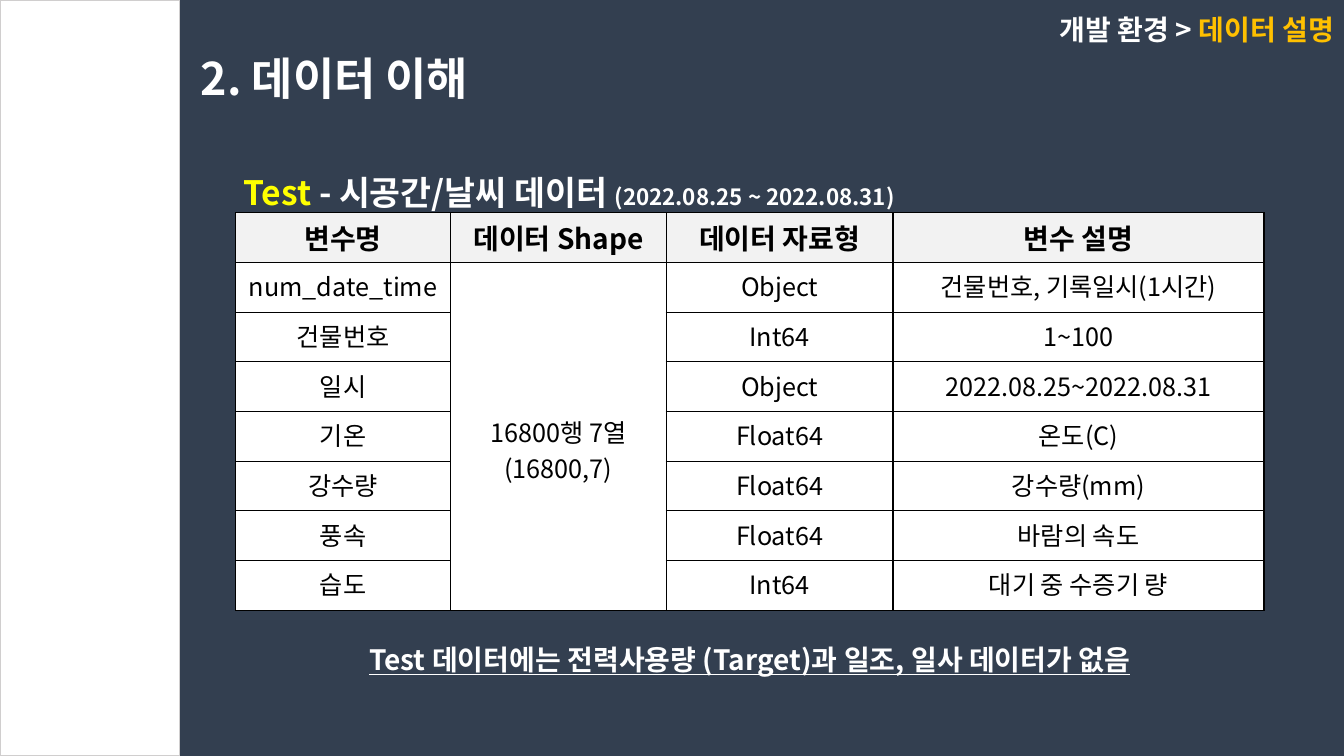
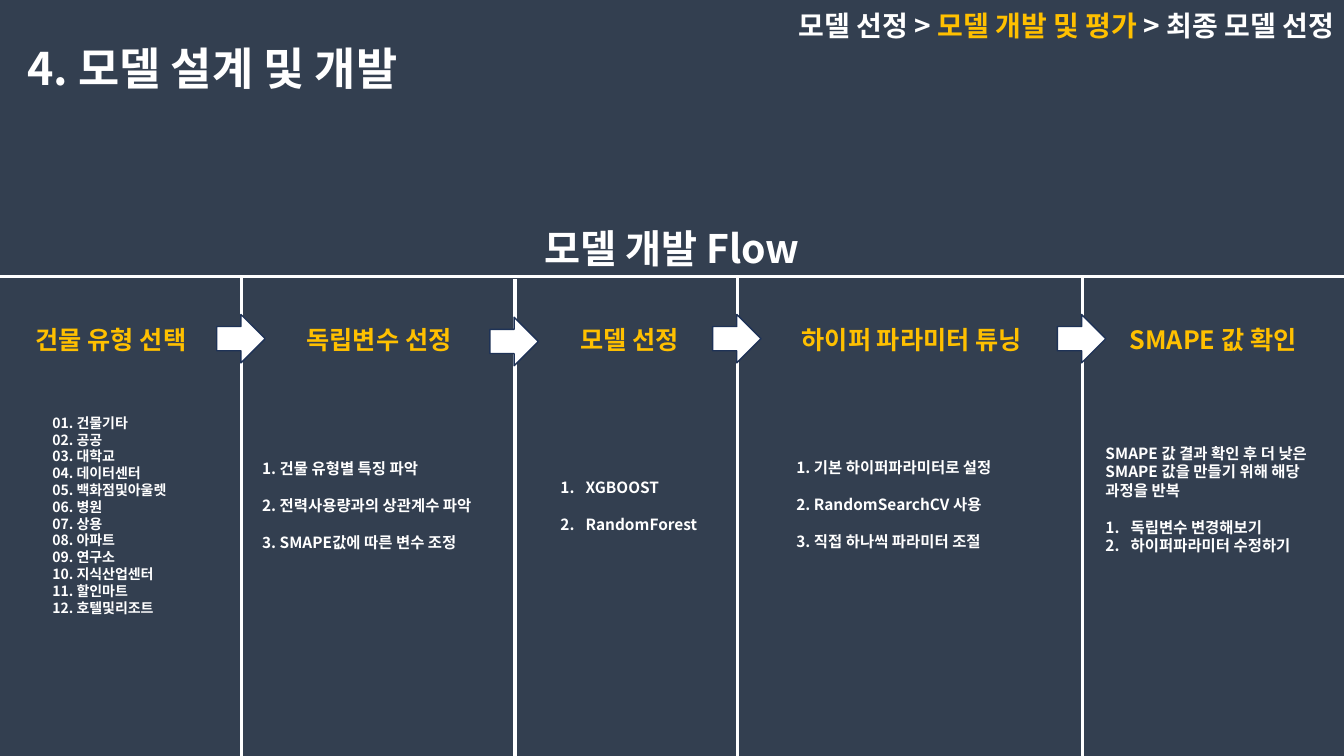
from dataclasses import dataclass
from lxml.etree import SubElement
from pptx import Presentation
from pptx.dml.color import RGBColor
from pptx.enum.shapes import MSO_CONNECTOR, MSO_SHAPE
from pptx.enum.text import MSO_ANCHOR, MSO_AUTO_SIZE, PP_ALIGN
from pptx.oxml.ns import qn
from pptx.util import Pt


@dataclass(frozen=True)
class Theme:
    font: str = "Noto Sans CJK KR"
    navy: str = "333F50"
    white: str = "FFFFFF"
    black: str = "000000"
    gold: str = "FFC000"
    yellow: str = "FFFF00"
    header: str = "F2F2F2"
    panel_edge: str = "D0CECE"
    arrow_edge: str = "1E3256"
    title: float = 32
    flow: float = 28
    subtitle: float = 24
    label: float = 20
    cell: float = 18
    period: float = 16
    item: float = 11
    small: float = 10
    leading: float = 1.2
    drop: float = 0.08  # moves tightly set text down, as a share of its size


THEME = Theme()
WIDTH, HEIGHT = 960, 540

# Content: test data slide
DATA_TITLE = "2. 데이터 이해"
DATA_TRAIL = [("개발 환경 > ", THEME.white), ("데이터 설명", THEME.gold)]
DATA_SUBTITLE = [
    ("Test ", THEME.yellow),
    ("- 시공간/날씨 데이터 ", THEME.white),
    ("(2022.08.25 ~ 2022.08.31)", THEME.white, THEME.period),
]
DATA_NOTE = "Test 데이터에는 전력사용량 (Target)과 일조, 일사 데이터가 없음"
COLUMN_WIDTHS = [153.4, 154.1, 162, 265]
DATA_SHAPE = ["16800행 7열", "(16800,7)"]
DATA_ROWS = [
    ("변수명", "데이터 Shape", "데이터 자료형", "변수 설명"),
    ("num_date_time", "", "Object", "건물번호, 기록일시(1시간)"),
    ("건물번호", "", "Int64", "1~100"),
    ("일시", "", "Object", "2022.08.25~2022.08.31"),
    ("기온", "", "Float64", "온도(C)"),
    ("강수량", "", "Float64", "강수량(mm)"),
    ("풍속", "", "Float64", "바람의 속도"),
    ("습도", "", "Int64", "대기 중 수증기 량"),
]

# Content: model flow slide
FLOW_TITLE = "4. 모델 설계 및 개발"
FLOW_TRAIL = [
    ("모델 선정 > ", THEME.white),
    ("모델 개발 및 평가 ", THEME.gold),
    ("> 최종 모델 선정", THEME.white),
]
FLOW_HEADING = "모델 개발 Flow"
BUILDINGS = ["건물기타", "공공", "대학교", "데이터센터", "백화점및아울렛", "병원", "상용",
             "아파트", "연구소", "지식산업센터", "할인마트", "호텔및리조트"]
STEPS = [
    {"name": "건물 유형 선택", "name_at": (9.4, 139.7), "list_at": (30.2, 291.6, 103, 152.6),
     "items": [f"{number:02}. {kind}" for number, kind in enumerate(BUILDINGS, 1)],
     "size": THEME.small},
    {"name": "독립변수 선정", "name_at": (200.9, 139.7), "list_at": (180, 323.3, 180.7, 74.2),
     "items": ["1. 건물 유형별 특징 파악", "2. 전력사용량과의 상관계수 파악",
               "3. SMAPE값에 따른 변수 조정"], "gap": 13.2},
    {"name": "모델 선정", "name_at": (397.4, 105.1), "list_at": (393.1, 337, 131, 47.5),
     "items": ["XGBOOST", "RandomForest"], "gap": 13.2, "numbered_from": 0},
    {"name": "하이퍼 파라미터 튜닝", "name_at": (553.7, 195.1),
     "list_at": (561.6, 322.6, 178.6, 74.2),
     "items": ["1. 기본 하이퍼파라미터로 설정", "2. RandomSearchCV 사용",
               "3. 직접 하나씩 파라미터 조절"], "gap": 13.2},
    {"name": "SMAPE 값 확인", "name_at": (779, 175), "list_at": (782.6, 312.5, 168.5, 87.1),
     "items": ["SMAPE 값 결과 확인 후 더 낮은 SMAPE 값을 만들기 위해 해당 과정을 반복",
               "독립변수 변경해보기", "하이퍼파라미터 수정하기"],
     "first_gap": 13.2, "numbered_from": 1},
]
DIVIDERS = [(172.8, 0), (367.9, 2), (527, 0), (773.3, 0)]  # x, offset down
FLOW_LINE = 197.4
ARROW_SIZE, ARROW_TOP = 34.6, 224.6


def color(value):
    return RGBColor.from_string(value)


def apply(target, values):
    for name, value in values.items():
        setattr(target, name, value)


def add_span(para, text, fill, size, bold=True, underline=False):
    span = para.add_run()
    span.text = text
    apply(span.font, {"name": THEME.font, "size": Pt(size), "bold": bold,
                      "underline": underline})
    span.font.color.rgb = color(fill)
    SubElement(span.font._element, qn("a:ea"), typeface=THEME.font)


def place(box, left, top, width, height, size):
    """Position a box and prepare its text frame."""
    apply(box, {"left": Pt(left), "top": Pt(top + THEME.drop * size),
                "width": Pt(width), "height": Pt(height)})
    apply(box.text_frame, {"word_wrap": True, "auto_size": MSO_AUTO_SIZE.NONE,
                           "vertical_anchor": MSO_ANCHOR.TOP})
    return box


def set_line(para, size, align=PP_ALIGN.LEFT, after=0):
    apply(para, {"alignment": align, "line_spacing": Pt(size * THEME.leading),
                 "space_before": Pt(0), "space_after": Pt(after)})


def write_line(box, spans, size, align=PP_ALIGN.LEFT, underline=False):
    """Write one line of (text, colour[, size]) spans."""
    para = box.text_frame.paragraphs[0]
    set_line(para, size, align)
    for text, fill, *own_size in spans:
        add_span(para, text, fill, own_size[0] if own_size else size, underline=underline)


def add_label(page, at, spans, size, align=PP_ALIGN.CENTER, underline=False):
    box = place(page.shapes.add_textbox(0, 0, 0, 0), *at, size)
    write_line(box, spans, size, align, underline)


def write_list(box, step):
    """Fill a box with the items of one step."""
    size = step.get("size", THEME.item)
    place(box, *step["list_at"], size)
    frame = box.text_frame
    for index, item in enumerate(step["items"]):
        para = frame.paragraphs[0] if index == 0 else frame.add_paragraph()
        gap = step.get("gap", 0)
        set_line(para, size, after=step.get("first_gap", gap) if index == 0 else gap)
        numbered = index >= step.get("numbered_from", len(step["items"]))
        props = para._p.get_or_add_pPr()
        props.set("marL", str(Pt(18 if numbered else 0)))
        props.set("indent", str(Pt(-18 if numbered else 0)))
        if numbered:
            SubElement(props, qn("a:buFont"), typeface="+mj-lt")
            SubElement(props, qn("a:buAutoNum"), type="arabicPeriod")
        else:
            SubElement(props, qn("a:buNone"))
        add_span(para, item, THEME.white, size)


def add_block(page, kind, at, fill, edge):
    block = page.shapes.add_shape(kind, *map(Pt, at))
    block.shadow.inherit = False
    block.fill.solid()
    block.fill.fore_color.rgb = color(fill)
    block.line.color.rgb = color(edge)
    block.line.width = Pt(1)


def add_rule(page, x1, y1, x2, y2):
    rule = page.shapes.add_connector(MSO_CONNECTOR.STRAIGHT, *map(Pt, (x1, y1, x2, y2)))
    rule.line.color.rgb = color(THEME.white)
    rule.line.width = Pt(2.25)
    SubElement(rule._element.spPr, qn("a:effectLst"))


def add_page(deck, layout, title, title_at, trail, trail_top):
    """Add a slide with its title and its breadcrumb."""
    page = deck.slides.add_slide(deck.slide_layouts[layout])
    heading = place(page.shapes.title, *title_at, 46, THEME.title)
    write_line(heading, [(title, THEME.white)], THEME.title)
    add_label(page, (480, trail_top, 480, 31.7), trail, THEME.label, PP_ALIGN.RIGHT)
    return page


def style_cell(cell, fill):
    props = cell._tc.get_or_add_tcPr()
    for side in ("lnL", "lnR", "lnT", "lnB"):
        edge = SubElement(props, qn(f"a:{side}"), w=str(Pt(1)))
        SubElement(SubElement(edge, qn("a:solidFill")), qn("a:srgbClr"), val=THEME.black)
    cell.fill.solid()
    cell.fill.fore_color.rgb = color(fill)


def fill_cell(cell, lines, header=False):
    frame = cell.text_frame
    for index, text in enumerate(lines):
        para = frame.paragraphs[0] if index == 0 else frame.add_paragraph()
        para.alignment = PP_ALIGN.CENTER
        size = THEME.label if header else THEME.cell
        add_span(para, text, THEME.black, size, bold=header)
    cell.margin_top = cell.margin_bottom = Pt(2 if header else 3.6)
    cell.vertical_anchor = MSO_ANCHOR.MIDDLE if header else MSO_ANCHOR.TOP


def add_data_table(page):
    row_height = 35.5
    at = (168.4, 152, sum(COLUMN_WIDTHS), row_height * len(DATA_ROWS))
    table = page.shapes.add_table(len(DATA_ROWS), len(COLUMN_WIDTHS), *map(Pt, at)).table
    for column, width in zip(table.columns, COLUMN_WIDTHS):
        column.width = Pt(width)
    for r, row in enumerate(DATA_ROWS):
        table.rows[r].height = Pt(row_height)
        for c, text in enumerate(row):
            cell = table.cell(r, c)
            style_cell(cell, THEME.white if r else THEME.header)
            if text:
                fill_cell(cell, [text], header=r == 0)
    # Shape column: one cell for all variables
    merged = table.cell(1, 1)
    merged.merge(table.cell(len(DATA_ROWS) - 1, 1))
    fill_cell(merged, DATA_SHAPE)
    apply(merged, {"vertical_anchor": MSO_ANCHOR.MIDDLE, "margin_top": Pt(22)})


def build_data_page(deck):
    page = add_page(deck, 5, DATA_TITLE, (136.1, 30.2, 262.8), DATA_TRAIL, 3.6)
    add_block(page, MSO_SHAPE.RECTANGLE, (0, 0, 128.2, HEIGHT), THEME.white, THEME.panel_edge)
    add_data_table(page)
    add_label(page, (167, 117.4, 715, 36), DATA_SUBTITLE, THEME.subtitle, PP_ALIGN.LEFT)
    add_label(page, (168.4, 453.6, 734.4, 31.7), [(DATA_NOTE, THEME.white)], THEME.label,
              underline=True)


def build_flow_page(deck):
    page = add_page(deck, 4, FLOW_TITLE, (12.2, 23, 315.4), FLOW_TRAIL, 0.7)
    add_label(page, (0, 154.8, WIDTH, 41), [(FLOW_HEADING, THEME.white)], THEME.flow)
    add_rule(page, 0, FLOW_LINE, WIDTH, FLOW_LINE)
    # Dividers, each with the arrow to the next step
    for x, offset in DIVIDERS:
        add_rule(page, x, FLOW_LINE + offset, x, HEIGHT)
        add_block(page, MSO_SHAPE.RIGHT_ARROW,
                  (x - 18, ARROW_TOP + offset, ARROW_SIZE, ARROW_SIZE),
                  THEME.white, THEME.arrow_edge)
    # Lists fill the body placeholders, then a text box
    bodies = [box for box in page.placeholders if box.placeholder_format.idx > 0]
    while len(bodies) < len(STEPS):
        bodies.append(page.shapes.add_textbox(0, 0, 0, 0))
    for step, body in zip(STEPS, bodies):
        left, width = step["name_at"]
        add_label(page, (left, 226.8, width, 28.8), [(step["name"], THEME.gold)], THEME.cell)
        write_list(body, step)


def main():
    deck = Presentation()
    apply(deck, {"slide_width": Pt(WIDTH), "slide_height": Pt(HEIGHT)})
    backdrop = deck.slide_master.background.fill
    backdrop.solid()
    backdrop.fore_color.rgb = color(THEME.navy)
    build_data_page(deck)
    build_flow_page(deck)
    deck.save("out.pptx")


if __name__ == "__main__":
    main()
